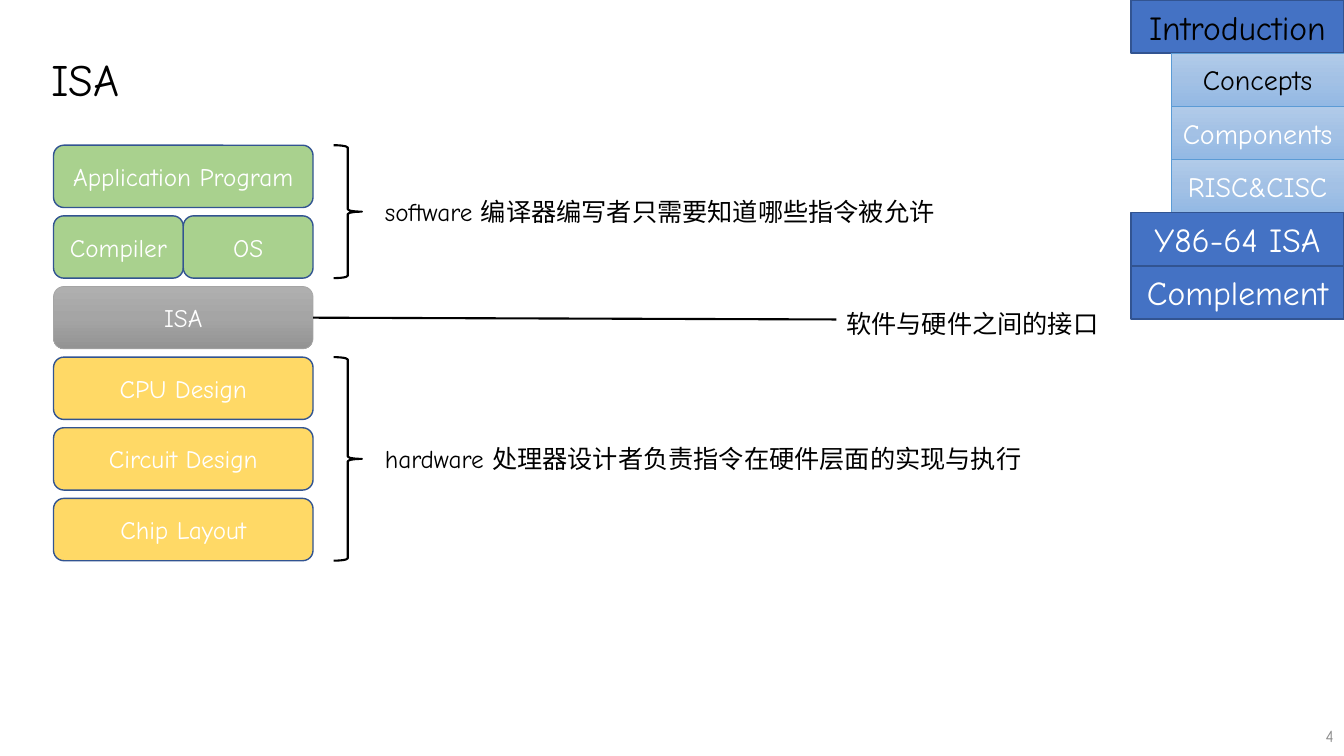
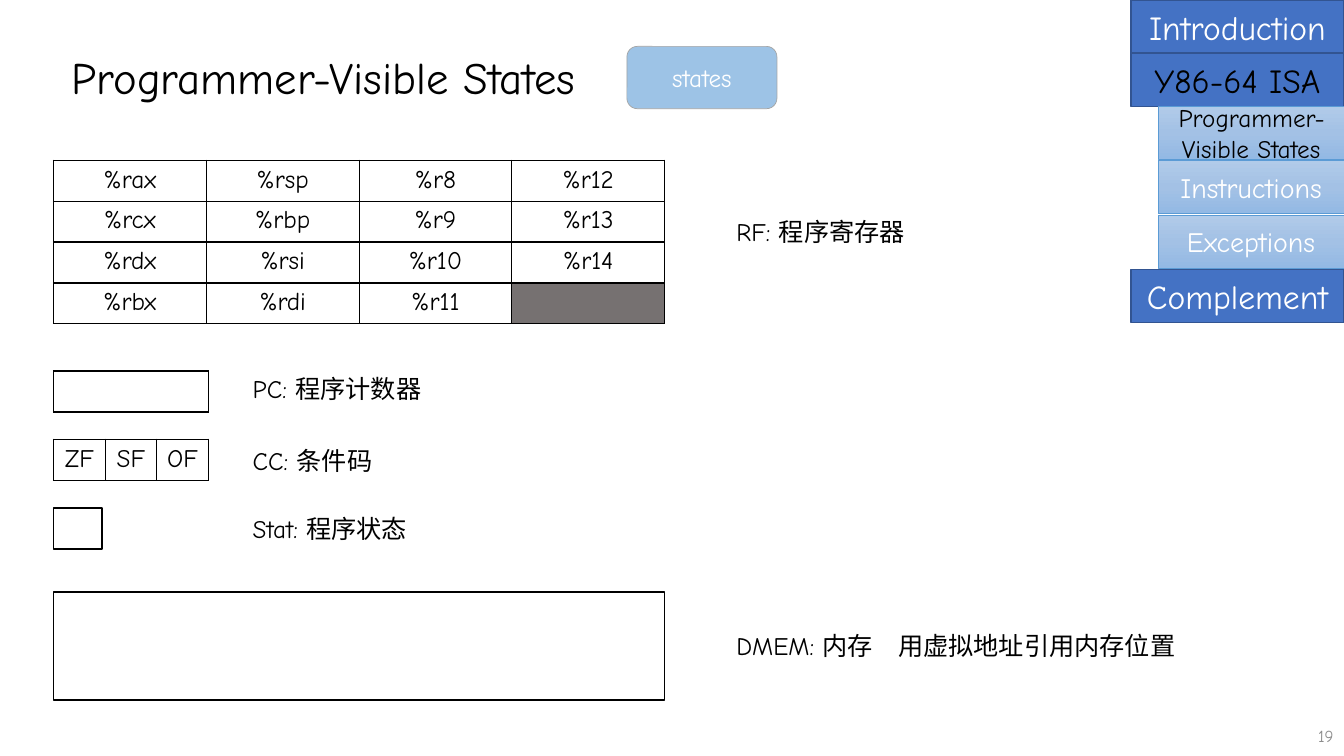
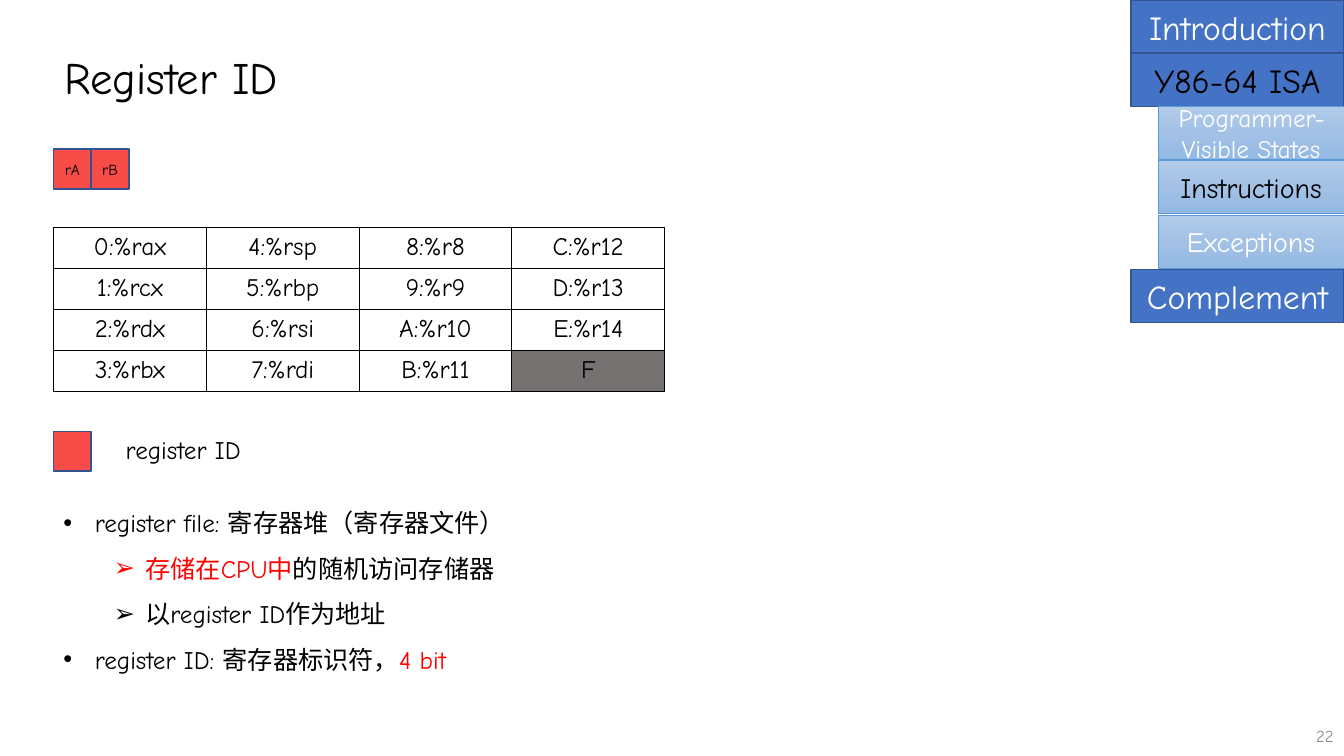
from copy import deepcopy
from dataclasses import dataclass

from lxml import etree
from pptx import Presentation
from pptx.dml.color import RGBColor
from pptx.enum.shapes import MSO_CONNECTOR, MSO_SHAPE
from pptx.enum.text import MSO_ANCHOR, MSO_AUTO_SIZE, PP_ALIGN
from pptx.oxml.ns import qn
from pptx.util import Cm, Pt

RECT, ROUND = MSO_SHAPE.RECTANGLE, MSO_SHAPE.ROUNDED_RECTANGLE
BRACE, STRAIGHT = MSO_SHAPE.RIGHT_BRACE, MSO_CONNECTOR.STRAIGHT
LEFT, CENTER, RIGHT = PP_ALIGN.LEFT, PP_ALIGN.CENTER, PP_ALIGN.RIGHT
TOP, MIDDLE = MSO_ANCHOR.TOP, MSO_ANCHOR.MIDDLE
GROW = MSO_AUTO_SIZE.SHAPE_TO_FIT_TEXT

# Theme
FONT = "Comic Neue"
BLACK, WHITE, RED = "000000", "FFFFFF", "FF0000"
BLUE, NAVY, SKY, PALE = "4472C4", "325491", "5B9BD5", "9DC3E6"
GREEN, GOLD, CORAL = "A9D18E", "FFD966", "F84C48"
GRAY, DARK, FAINT = "A5A5A5", "767171", "8C8C8C"
ICE = ("B1CBE9", "A3C1E5", "93B9E4")
STEEL = ("AFAFAF", "A5A5A5", "939393")

# Shared grid, in centimetres
WIDE, HIGH = 33.87, 19.05
EDGE = 1.35
TAB_W, TAB_H = 5.37, 1.34
ROW_H, COL_W = 1.03, 3.85


@dataclass
class Tab:
    name: str
    sub: bool = False
    size: int = 20


@dataclass
class Menu:
    tabs: list[Tab]
    sub_w: float
    step: float


@dataclass
class Layer:
    names: list[str]
    fill: str | tuple
    line: str = NAVY
    weight: float = 1


@dataclass
class Label:
    text: str
    x: float
    y: float
    w: float


@dataclass
class Point:
    runs: list[tuple[str, str]]
    level: int = 0


BASIC = Menu([Tab("Introduction"), Tab("Concepts", True), Tab("Components", True),
              Tab("RISC&CISC", True), Tab("Y86-64 ISA"), Tab("Complement")], 4.35, 1.34)
STATE = Menu([Tab("Introduction"), Tab("Y86-64 ISA"),
              Tab("Programmer-Visible States", True, 18), Tab("Instructions", True),
              Tab("Exceptions", True), Tab("Complement")], 4.68, 1.37)
REGS = ["%rax", "%rcx", "%rdx", "%rbx", "%rsp", "%rbp", "%rsi", "%rdi",
        *(f"%r{n}" for n in range(8, 15))]


def color(code: str) -> RGBColor:
    return RGBColor.from_string(code)


def write(para, text: str, *, size: float = 18, ink: str = BLACK,
          align=None, space: float | None = None) -> None:
    if align is not None:
        para.alignment = align
    if space:
        para.line_spacing = space
    run = para.add_run()
    run.text = text
    run.font.name, run.font.size = FONT, Pt(size)
    run.font.color.rgb = color(ink)


def paint(shape, fill: str | tuple | None) -> None:
    if fill is None:
        shape.fill.background()
    elif isinstance(fill, str):
        shape.fill.solid()
        shape.fill.fore_color.rgb = color(fill)
    else:
        shape.fill.gradient()
        shape.fill.gradient_angle = 270
        stops = shape._element.spPr.find(qn("a:gradFill")).find(qn("a:gsLst"))
        mid = deepcopy(stops[0])
        mid.set("pos", "50000")
        stops.insert(1, mid)
        for stop, code in zip(shape.fill.gradient_stops, fill):
            stop.color.rgb = color(code)


def draw(slide, kind, x: float, y: float, w: float, h: float, *, fill=None,
         line: str = NAVY, weight: float = 1, text: str = "", **style):
    shape = slide.shapes.add_shape(kind, Cm(x), Cm(y), Cm(w), Cm(h))
    shape.shadow.inherit = False
    paint(shape, fill)
    shape.line.color.rgb = color(line)
    shape.line.width = Pt(weight)
    if text:
        write(shape.text_frame.paragraphs[0], text, align=CENTER, **style)
    return shape


def frame(slide, x: float, y: float, w: float, h: float = 1.02):
    body = slide.shapes.add_textbox(Cm(x), Cm(y), Cm(w), Cm(h)).text_frame
    body.word_wrap = True
    body.auto_size = GROW
    body.vertical_anchor = TOP
    return body


def note(slide, label: Label, **style) -> None:
    body = frame(slide, label.x, label.y, label.w)
    write(body.paragraphs[0], label.text, **style)


def edge(cell) -> None:
    props = cell._tc.get_or_add_tcPr()
    for spot, side in enumerate("LRTB"):
        line = etree.Element(qn(f"a:ln{side}"), w=str(Pt(1)))
        fill = etree.SubElement(line, qn("a:solidFill"))
        etree.SubElement(fill, qn("a:srgbClr"), val=BLACK)
        props.insert(spot, line)


def grid(slide, x: float, y: float, col: float, rows: list[list[str]],
         shade: tuple[int, int] | None = None) -> None:
    wide, high = len(rows[0]), len(rows)
    table = slide.shapes.add_table(high, wide, Cm(x), Cm(y), Cm(col * wide),
                                   Cm(ROW_H * high)).table
    table.first_row = table.horz_banding = False
    for item in table.columns:
        item.width = Cm(col)
    for r, row in enumerate(rows):
        table.rows[r].height = Cm(ROW_H)
        for c, text in enumerate(row):
            cell = table.cell(r, c)
            paint(cell, DARK if (r, c) == shade else None)
            edge(cell)
            if text:
                write(cell.text_frame.paragraphs[0], text, align=CENTER)


def bank(slide, y: float, names: list[str]) -> None:
    """Register table, filled column by column."""
    rows = [names[r::4] for r in range(4)]
    grid(slide, EDGE, y, COL_W, rows, shade=(3, 3))


def bullet(para, level: int) -> None:
    para.level = level
    para.line_spacing = 1.5
    props = para._p.get_or_add_pPr()
    props.set("marL", str(Cm((0.79, 2.06)[level])))
    props.set("indent", str(Cm(-0.79)))
    etree.SubElement(props, qn("a:buFont"), typeface="Arial")
    etree.SubElement(props, qn("a:buChar"), char="•➢"[level])


def start(deck, menu: Menu, active: set[str], title: Label, number: int, align=CENTER):
    """Slide with its menu, title and page number."""
    slide = deck.slides.add_slide(deck.slide_layouts[6])
    y = 0
    for tab in menu.tabs:
        ink = BLACK if tab.name in active else WHITE
        if tab.sub:
            draw(slide, RECT, WIDE - menu.sub_w, y, menu.sub_w, TAB_H, fill=ICE,
                 line=SKY, weight=0.5, text=tab.name, size=tab.size, ink=ink)
        else:
            draw(slide, RECT, WIDE - TAB_W, y, TAB_W, TAB_H, fill=BLUE,
                 text=tab.name, size=24, ink=ink)
        y += menu.step if tab.sub else TAB_H
    note(slide, title, size=32, align=align)
    page = frame(slide, 26.24, 18.03, 7.62)
    page.auto_size = MSO_AUTO_SIZE.NONE
    page.vertical_anchor = MIDDLE
    write(page.paragraphs[0], str(number), size=12, ink=FAINT, align=RIGHT)
    return slide


def layers(deck) -> None:
    slide = start(deck, BASIC, {"Introduction", "Concepts"},
                  Label("ISA", 1.04, 1.19, 2.41), 4, LEFT)
    top, step, high, wide = 3.66, 1.78, 1.57, 6.54
    stack = [Layer(["Application Program"], GREEN), Layer(["Compiler", "OS"], GREEN),
             Layer(["ISA"], STEEL, GRAY, 0.5), Layer(["CPU Design"], GOLD),
             Layer(["Circuit Design"], GOLD), Layer(["Chip Layout"], GOLD)]
    boxes = {}
    for i, layer in enumerate(stack):
        part = wide / len(layer.names)
        for j, name in enumerate(layer.names):
            boxes[name] = draw(slide, ROUND, EDGE + j * part, top + i * step, part, high,
                               fill=layer.fill, line=layer.line, weight=layer.weight,
                               text=name, ink=WHITE)
    # Braces: first row and number of rows
    for first, count in ((0, 2), (3, 3)):
        draw(slide, BRACE, 8.41, top + first * step, 0.71, (count - 1) * step + high,
             line=BLACK, weight=1.5)
    note(slide, Label("software 编译器编写者只需要知道哪些指令被允许", 9.45, 4.83, 14.83))
    note(slide, Label("hardware 处理器设计者负责指令在硬件层面的实现与执行", 9.45, 11.05, 16.92))
    # Line from the ISA box to its label
    link = slide.shapes.add_connector(STRAIGHT, Cm(7.9), Cm(8), Cm(21.08), Cm(8.05))
    link.begin_connect(boxes["ISA"], 3)
    link.line.color.rgb = color(BLACK)
    link.line.width = Pt(1.5)
    etree.SubElement(link._element.spPr, qn("a:effectLst"))
    note(slide, Label("软件与硬件之间的接口", 21.08, 7.26, 9.07), space=1.5)


def states(deck) -> None:
    slide = start(deck, STATE, {"Y86-64 ISA", "Programmer-Visible States"},
                  Label("Programmer-Visible States", 1.02, 1.14, 14.27), 19)
    draw(slide, ROUND, 15.8, 1.17, 3.78, 1.57, fill=PALE, line=GRAY, weight=0.5,
         text="states", ink=WHITE)
    # Registers, counter, flags, status and memory
    bank(slide, 4.04, REGS + [""])
    grid(slide, EDGE, 9.35, 3.91, [[""]])
    grid(slide, EDGE, 11.07, 1.3, [["ZF", "SF", "OF"]])
    for y, w, h in ((12.8, 1.22, 1.04), (14.91, 15.4, 2.74)):
        draw(slide, RECT, EDGE, y, w, h, fill=WHITE, line=BLACK, weight=1.25)
    for label in (Label("RF: 程序寄存器", 18.31, 5.33, 4.8),
                  Label("PC: 程序计数器", 6.12, 9.27, 5.61),
                  Label("CC: 条件码", 6.12, 11.1, 3.55),
                  Label("Stat: 程序状态", 6.12, 12.8, 4.72),
                  Label("DMEM: 内存　用虚拟地址引用内存位置", 18.31, 15.77, 12.4)):
        note(slide, label)


def codes(deck) -> None:
    slide = start(deck, STATE, {"Y86-64 ISA", "Instructions"},
                  Label("Register ID", 1.09, 1.12, 6.45), 22)
    wide, high = 0.95, 1
    for i, name in enumerate(("rA", "rB")):
        draw(slide, RECT, EDGE + i * wide, 3.76, wide, high, fill=CORAL,
             text=name, size=11)
    bank(slide, 5.74, [f"{i:X}:{name}" for i, name in enumerate(REGS)] + ["F"])
    # Legend
    draw(slide, RECT, EDGE, 10.87, wide, high, fill=CORAL)
    note(slide, Label("register ID", 2.92, 10.82, 3.71))
    # Bullets
    points = [Point([("register file: 寄存器堆（寄存器文件）", BLACK)]),
              Point([("存储在CPU中", RED), ("的随机访问存储器", BLACK)], 1),
              Point([("以register ID作为地址", BLACK)], 1),
              Point([("register ID: 寄存器标识符，", BLACK), ("4 bit", RED)])]
    body = frame(slide, EDGE, 12.29, 14.3, 4.75)
    for i, point in enumerate(points):
        para = body.add_paragraph() if i else body.paragraphs[0]
        bullet(para, point.level)
        for text, ink in point.runs:
            write(para, text, ink=ink)


def main() -> None:
    deck = Presentation()
    deck.slide_width, deck.slide_height = Cm(WIDE), Cm(HIGH)
    for build in (layers, states, codes):
        build(deck)
    deck.save("out.pptx")


if __name__ == "__main__":
    main()
